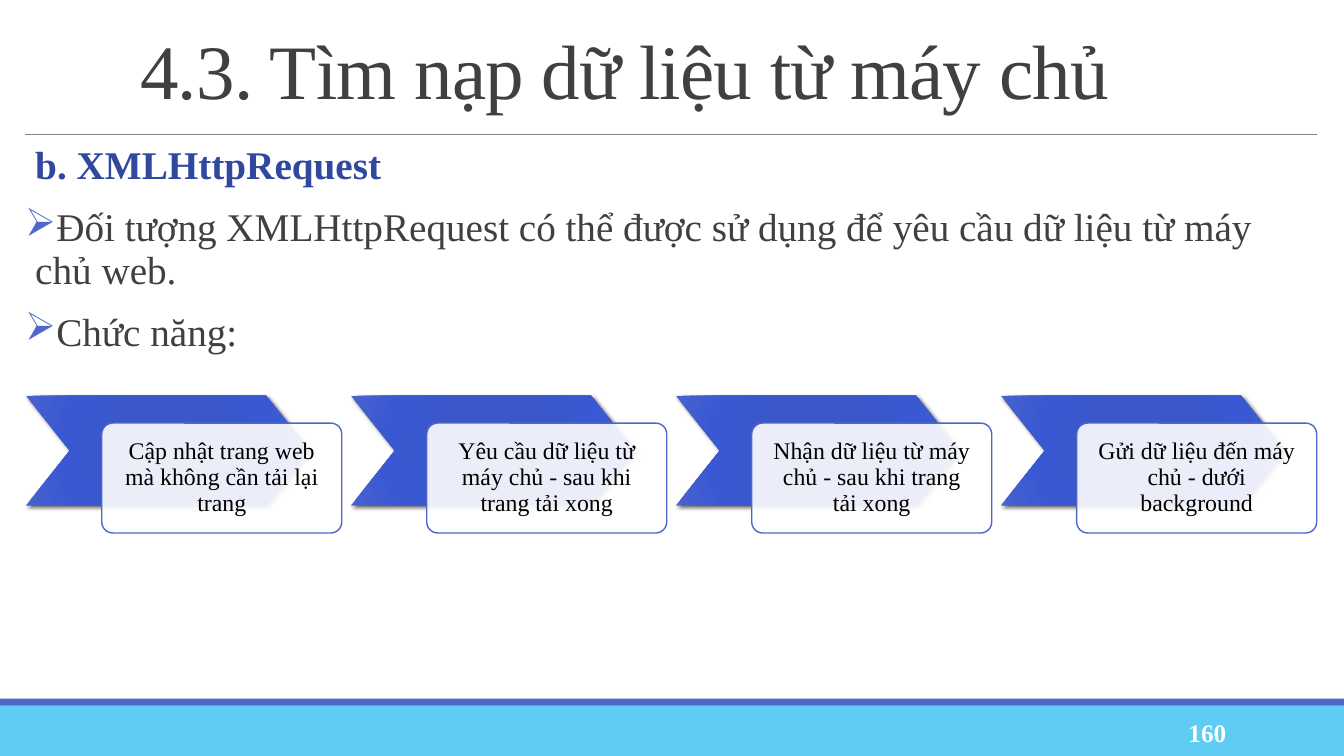
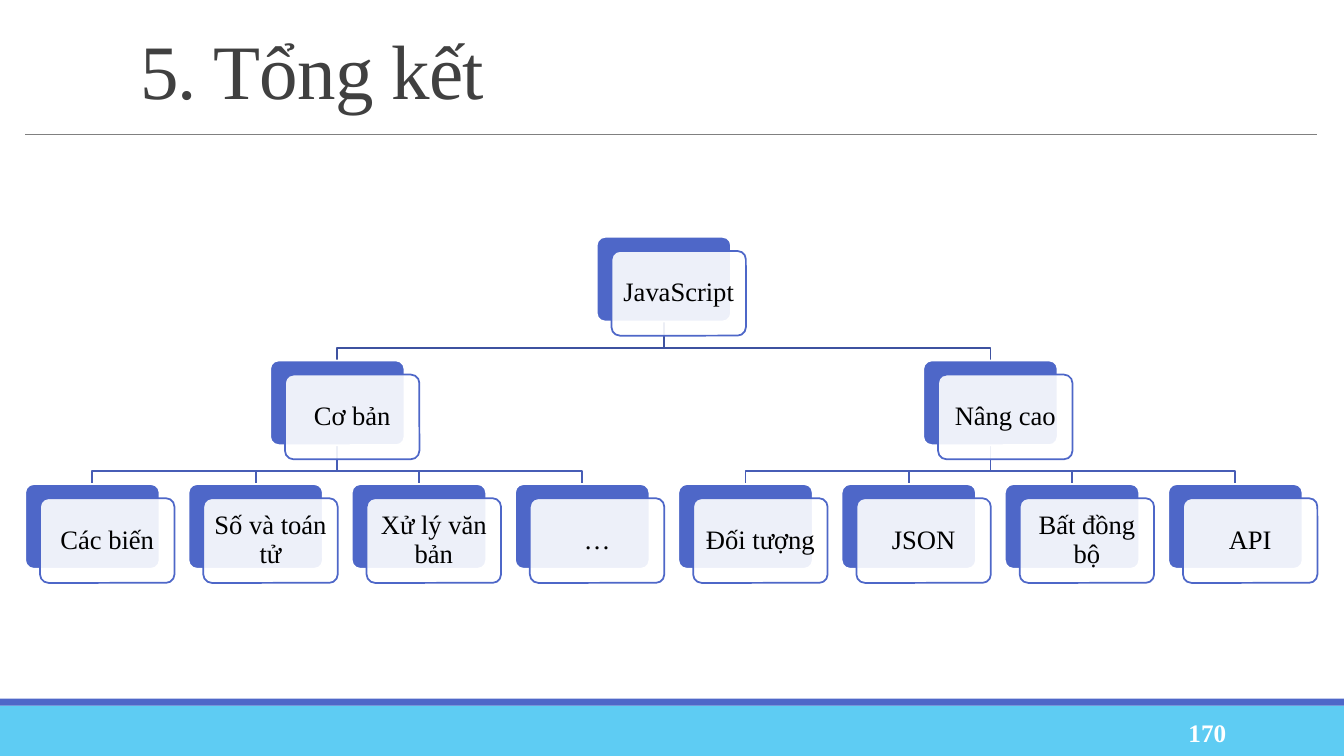
from typing import NamedTuple

from lxml.etree import SubElement
from pptx import Presentation
from pptx.dml.color import RGBColor
from pptx.enum.shapes import MSO_CONNECTOR, MSO_SHAPE
from pptx.enum.text import MSO_ANCHOR, PP_ALIGN
from pptx.oxml import parse_xml
from pptx.oxml.ns import nsdecls, qn
from pptx.util import Pt


class Box(NamedTuple):
    left: float
    top: float
    width: float
    height: float

    def lengths(self):
        return [Pt(value) for value in self]


class Theme:
    """Colours and type styles shared by the slides."""
    indigo = "4E67C8"
    sky = "5ECCF3"
    rule = "808080"
    white = "FFFFFF"
    branch_lines = ("3E52A0", "475DB6")
    chevron_stops = ((0, "3856CB"), (34, "3B58CB"), (70, "3958D1"), (100, "4863CE"))
    face = "Times New Roman"
    title = ("404040", {"size": Pt(55)})
    heading = ("31489F", {"size": Pt(28), "bold": True})
    body = ("404040", {"size": Pt(28), "bold": False})
    page_number = (white, {"size": Pt(18), "bold": True})
    step = ("000000", {"size": Pt(17)})
    node = ("000000", {"size": Pt(19)})


SLIDE = Box(0, 0, 960, 540)
TITLE = Box(93, 19.5, 848, 69)
BODY = Box(18, 100.8, 920, 384.5)
STEPS = Box(18.5, 282.6, 922, 98.1)
TREE = Box(18, 169.2, 923, 247.2)

STEP_TEXTS = (
    "Cập nhật trang web mà không cần tải lại trang",
    "Yêu cầu dữ liệu từ máy chủ - sau khi trang tải xong",
    "Nhận dữ liệu từ máy chủ - sau khi trang tải xong",
    "Gửi dữ liệu đến máy chủ - dưới background",
)
TOPICS = ("JavaScript", (
    ("Cơ bản", (("Các biến", ()), ("Số và toán tử", ()),
                ("Xử lý văn bản", ()), ("…", ()))),
    ("Nâng cao", (("Đối tượng", ()), ("JSON", ()),
                  ("Bất đồng bộ", ()), ("API", ()))),
))


def color(code):
    return RGBColor.from_string(code)


def write(paragraph, text, style, **layout):
    code, values = style
    for key, value in layout.items():
        setattr(paragraph, key, value)
    run = paragraph.add_run()
    run.text = text
    for key, value in {"name": Theme.face, **values}.items():
        setattr(run.font, key, value)
    run.font.color.rgb = color(code)
    return run


def set_frame(frame, anchor, across, down):
    values = {"word_wrap": True, "vertical_anchor": anchor,
              "margin_left": Pt(across), "margin_right": Pt(across),
              "margin_top": Pt(down), "margin_bottom": Pt(down)}
    for key, value in values.items():
        setattr(frame, key, value)


def add_text_area(slide, box, anchor, across=7.2, down=3.6):
    frame = slide.shapes.add_textbox(*box.lengths()).text_frame
    set_frame(frame, anchor, across, down)
    return frame


def add_panel(slide, preset, box, fill, line=None, weight=1, corner=None):
    panel = slide.shapes.add_shape(preset, *box.lengths())
    panel.shadow.inherit = False
    panel.fill.solid()
    panel.fill.fore_color.rgb = color(fill)
    if line:
        panel.line.color.rgb = color(line)
        panel.line.width = Pt(weight)
    else:
        panel.line.fill.background()
    if corner is not None:
        panel.adjustments[0] = corner
    return panel


def add_card(slide, box, text, style, weight, inset):
    """Add a slightly see-through rounded card with centred text."""
    card = add_panel(slide, MSO_SHAPE.ROUNDED_RECTANGLE, box, Theme.white,
                     Theme.indigo, weight, 0.1)
    tint = card.fill._xPr.find(qn("a:solidFill"))[0]
    SubElement(tint, qn("a:alpha"), val="90000")
    set_frame(card.text_frame, MSO_ANCHOR.MIDDLE, inset, inset)
    write(card.text_frame.paragraphs[0], text, style,
          alignment=PP_ALIGN.CENTER, line_spacing=0.9)


def add_chevron(slide, box):
    chevron = add_panel(slide, MSO_SHAPE.CHEVRON, box, Theme.indigo, corner=0.4)
    properties = chevron._element.spPr
    stops = "".join(f'<a:gs pos="{position * 1000}"><a:srgbClr val="{code}"/></a:gs>'
                    for position, code in Theme.chevron_stops)
    properties.replace(properties.find(qn("a:solidFill")), parse_xml(
        f'<a:gradFill {nsdecls("a")} rotWithShape="1"><a:gsLst>{stops}</a:gsLst>'
        '<a:path path="circle">'
        '<a:fillToRect l="100000" t="100000" r="100000" b="100000"/></a:path>'
        '</a:gradFill>'))
    properties.find(qn("a:effectLst")).append(parse_xml(
        f'<a:outerShdw {nsdecls("a")} blurRad="{Pt(3)}" dist="{Pt(2)}" dir="2700000" '
        'algn="ctr" rotWithShape="0"><a:srgbClr val="000000"><a:alpha val="60000"/>'
        '</a:srgbClr></a:outerShdw>'))


def add_base_slide(deck, title, number):
    """Add a slide with the title, rule, footer bands and page number."""
    slide = deck.slides.add_slide(deck.slide_layouts[6])
    add_panel(slide, MSO_SHAPE.RECTANGLE, Box(0, 504, SLIDE.width, 36), Theme.sky)
    add_panel(slide, MSO_SHAPE.RECTANGLE, Box(0, 499, SLIDE.width, 5), Theme.indigo)
    rule = slide.shapes.add_connector(MSO_CONNECTOR.STRAIGHT,
                                      Pt(18), Pt(96), Pt(941), Pt(96))
    rule.line.color.rgb = color(Theme.rule)
    rule.line.width = Pt(0.5)
    SubElement(rule._element.spPr, qn("a:effectLst"))
    heading = add_text_area(slide, TITLE, MSO_ANCHOR.MIDDLE)
    run = write(heading.paragraphs[0], title, Theme.title, line_spacing=0.85)
    run.font._element.set("spc", "-50")
    footer = add_text_area(slide, Box(780, 509, 103, 28.8), MSO_ANCHOR.MIDDLE)
    write(footer.paragraphs[0], str(number), Theme.page_number,
          alignment=PP_ALIGN.RIGHT)
    return slide


def add_body(slide, box, heading, points):
    frame = add_text_area(slide, box, MSO_ANCHOR.TOP, across=0)
    spacing = {"line_spacing": 0.9, "space_after": Pt(2)}
    first = frame.paragraphs[0]
    first._p.get_or_add_pPr().set("marL", str(Pt(7.2)))
    write(first, heading, Theme.heading, **spacing)
    for point in points:
        paragraph = frame.add_paragraph()
        properties = paragraph._p.get_or_add_pPr()
        properties.set("marL", str(Pt(7.2)))
        properties.set("indent", str(-Pt(7.2)))
        tint = SubElement(properties, qn("a:buClr"))
        SubElement(tint, qn("a:srgbClr"), val=Theme.indigo)
        SubElement(properties, qn("a:buChar"), char="➢")
        write(paragraph, point, Theme.body, space_before=Pt(12), **spacing)


def add_steps(slide, box, texts):
    """Spread chevrons with overlapping cards evenly over the box."""
    shift_x, shift_y, card_width = 54.2, 19.6, 171.4
    height = box.height - shift_y
    pitch = (box.width - shift_x - card_width) / (len(texts) - 1)
    for index, text in enumerate(texts):
        left = box.left + index * pitch
        add_chevron(slide, Box(left, box.top, 203, height))
        add_card(slide, Box(left + shift_x, box.top + shift_y, card_width, height),
                 text, Theme.step, 1, 11.5)


def add_tree(slide, box, root):
    """Draw a hierarchy: leaves spread evenly, parents centred over children."""
    width, height, shift_x, shift_y = 96, 60.5, 10.6, 10.1
    leaf_count = sum(len(leaves) for _, leaves in root[1])
    pitch_x = (box.width - width - shift_x) / (leaf_count - 1)
    pitch_y = (box.height - height - shift_y) / 2
    nodes, branches, leaf_centers = [], [], []

    def place(topic, level):
        text, children = topic
        top = box.top + level * pitch_y
        centers = [place(child, level + 1) for child in children]
        if centers:
            center = (centers[0] + centers[-1]) / 2
        else:
            center = box.left + width / 2 + len(leaf_centers) * pitch_x
            leaf_centers.append(center)
        nodes.append((text, center - width / 2, top))
        branches.extend((level, center, end, top + height) for end in centers)
        return center

    place(root, 0)
    for level, start, end, top in branches:
        bend, bottom = top + 18.7, top + pitch_y - height
        builder = slide.shapes.build_freeform(Pt(start), Pt(top))
        builder.add_line_segments([(Pt(start), Pt(bend)), (Pt(end), Pt(bend)),
                                   (Pt(end), Pt(bottom))], close=False)
        branch = builder.convert_to_shape()
        branch.shadow.inherit = False
        branch.fill.background()
        branch.line.color.rgb = color(Theme.branch_lines[level])
        branch.line.width = Pt(1.25)
    for text, left, top in nodes:
        add_panel(slide, MSO_SHAPE.ROUNDED_RECTANGLE, Box(left, top, width, height),
                  Theme.indigo, Theme.white, 1.25, 0.1)
        add_card(slide, Box(left + shift_x, top + shift_y, width, height),
                 text, Theme.node, 1.25, 5.5)


def main():
    deck = Presentation()
    deck.slide_width, deck.slide_height = Pt(SLIDE.width), Pt(SLIDE.height)

    request = add_base_slide(deck, "4.3. Tìm nạp dữ liệu từ máy chủ", 160)
    add_body(request, BODY, "b. XMLHttpRequest", (
        "Đối tượng XMLHttpRequest có thể được sử dụng để yêu cầu dữ liệu từ máy chủ web.",
        "Chức năng:",
    ))
    add_steps(request, STEPS, STEP_TEXTS)

    summary = add_base_slide(deck, "5. Tổng kết", 170)
    add_tree(summary, TREE, TOPICS)

    deck.save("out.pptx")


if __name__ == "__main__":
    main()
